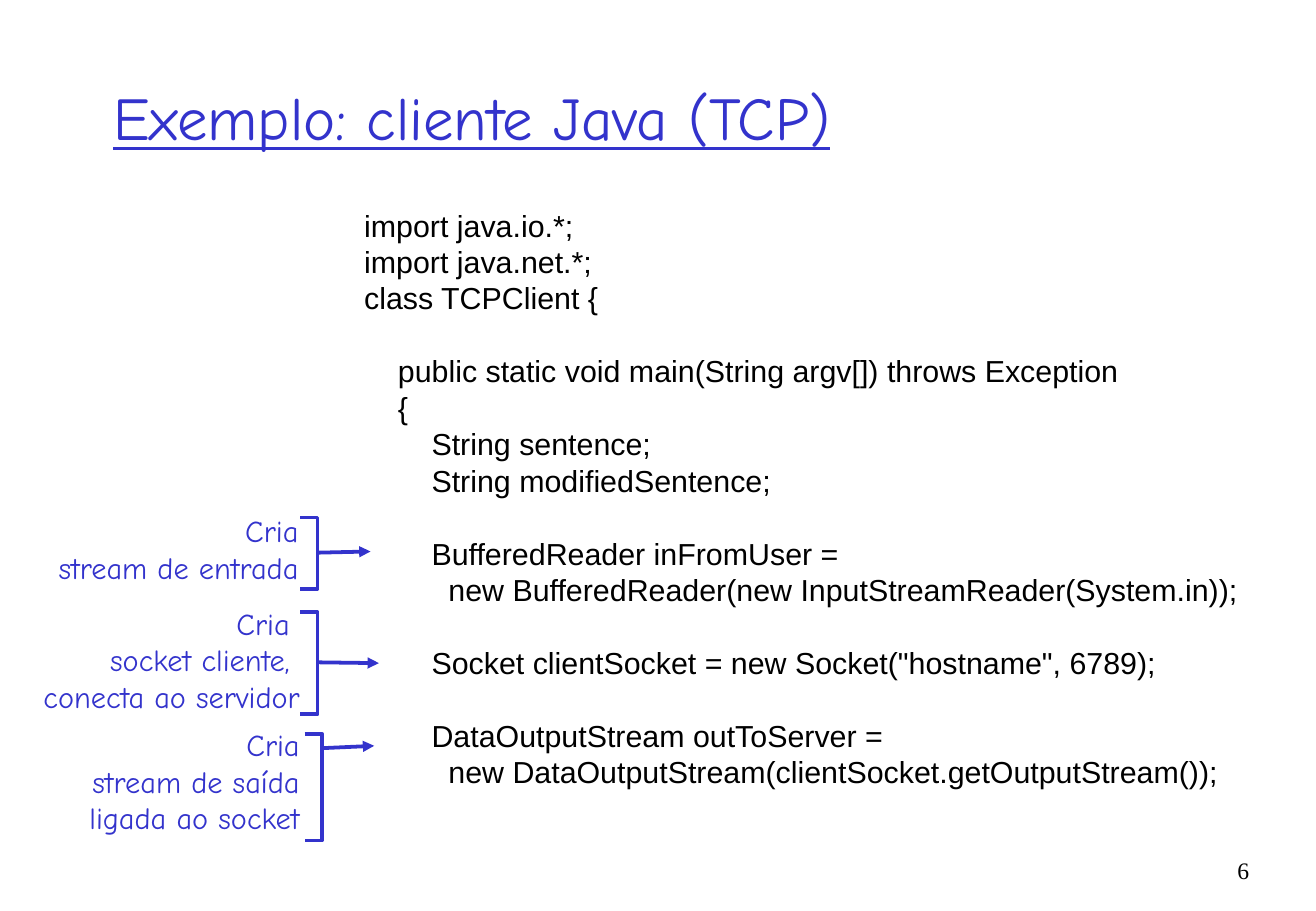
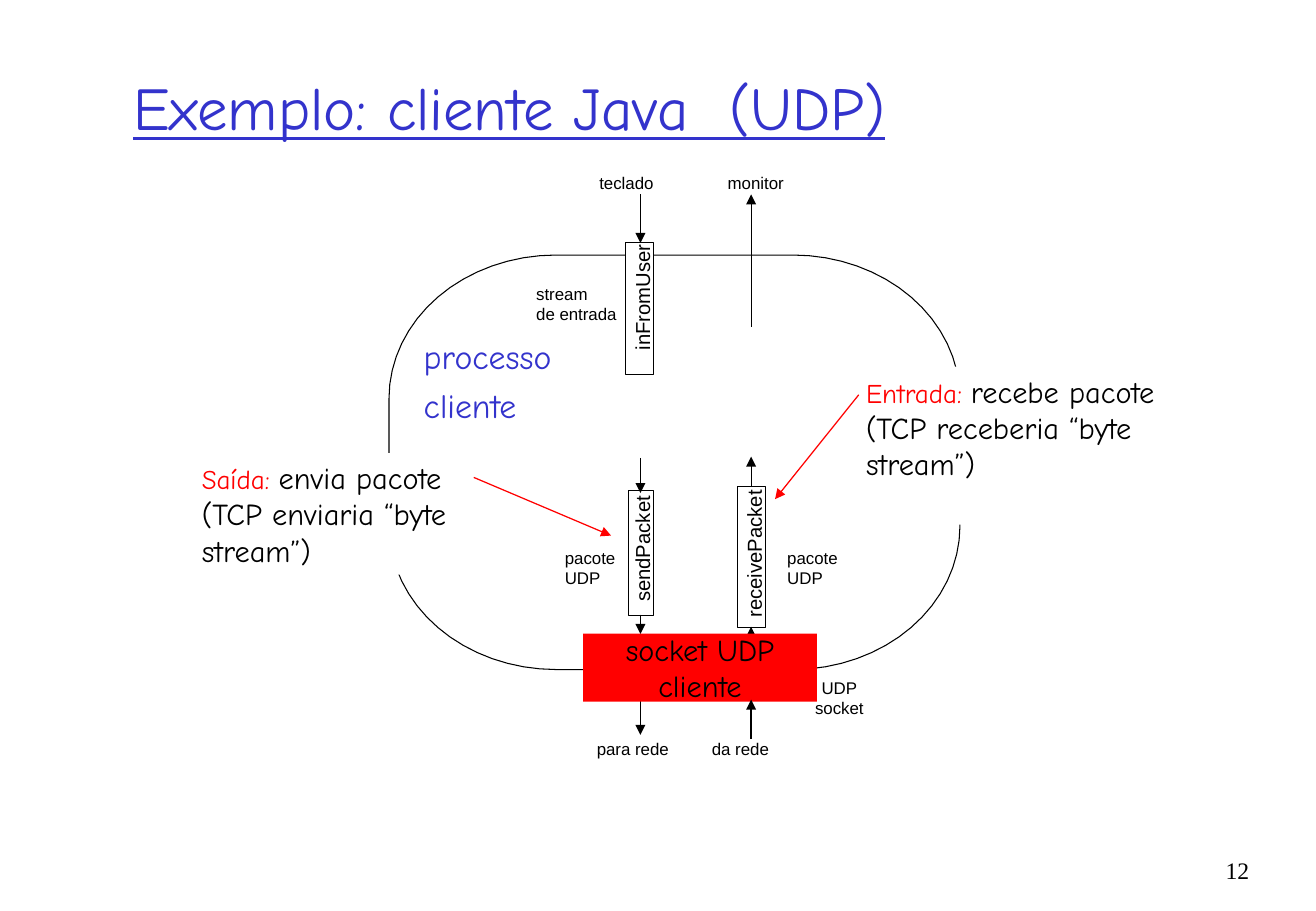
import math
from lxml import etree
from pptx import Presentation
from pptx import util as u
from pptx.dml.color import RGBColor
from pptx.enum import shapes, text
from pptx.oxml import ns

Pt = u.Pt
BLUE = RGBColor(0x33, 0x33, 0xCC)
RED = RGBColor(0xFF, 0, 0)
BLACK = RGBColor(0, 0, 0)
WHITE = RGBColor(0xFF, 0xFF, 0xFF)
LEFT, CENTER, RIGHT = text.PP_ALIGN.LEFT, text.PP_ALIGN.CENTER, text.PP_ALIGN.RIGHT
TOP, MIDDLE = text.MSO_ANCHOR.TOP, text.MSO_ANCHOR.MIDDLE

TITLE = ({"name": "Comic Neue", "size": Pt(36), "underline": True}, BLUE)
NOTE = ({"name": "Comic Neue", "size": Pt(18)}, BLUE)
PROCESS = ({"name": "Comic Neue", "size": Pt(20)}, BLUE)
BODY = ({"name": "Comic Neue", "size": Pt(18)}, BLACK)
LEAD = ({"name": "Comic Neue", "size": Pt(16)}, RED)
CODE = ({"name": "Arial", "size": Pt(18)}, BLACK)
PORT = ({"name": "Arial", "size": Pt(12)}, BLACK)
LABEL = ({"name": "Arial", "size": Pt(10)}, BLACK)
NUMBER = ({"name": "Times New Roman", "size": Pt(14)}, BLACK)


def add_text(slide, box, lines, style, align=LEFT, anchor=TOP, inset=(7.2, 3.6),
             fill=None, pitch=1.2):
    shape = slide.shapes.add_textbox(*[Pt(length) for length in box])
    if fill is not None:
        shape.fill.solid()
        shape.fill.fore_color.rgb = fill
    frame = shape.text_frame
    horizontal, vertical = [Pt(length) for length in inset]
    frame_format = {
        "word_wrap": True, "vertical_anchor": anchor,
        "margin_left": horizontal, "margin_right": horizontal,
        "margin_top": vertical, "margin_bottom": vertical,
    }
    for name, value in frame_format.items():
        setattr(frame, name, value)
    for index, line in enumerate(lines):
        paragraph = frame.add_paragraph() if index else frame.paragraphs[0]
        paragraph.alignment = align
        if pitch:
            paragraph.line_spacing = Pt(style[0]["size"].pt * pitch)
        runs = [(line, style)] if isinstance(line, str) else line
        for words, (font_format, color) in runs:
            run = paragraph.add_run()
            run.text = words
            for name, value in font_format.items():
                setattr(run.font, name, value)
            run.font.color.rgb = color
    return shape


def add_arrow(slide, ends, color, width):
    arrow = slide.shapes.add_connector(
        shapes.MSO_CONNECTOR.STRAIGHT, *[Pt(length) for length in ends])
    arrow.line.color.rgb = color
    arrow.line.width = Pt(width)
    etree.SubElement(arrow.line._get_or_add_ln(), ns.qn("a:tailEnd"), type="triangle")
    etree.SubElement(arrow._element.spPr, ns.qn("a:effectLst"))


presentation = Presentation()
presentation.slide_width = Pt(780)
presentation.slide_height = Pt(540)

slides = []
for title, left, top, number in [
    ("Exemplo: cliente Java (TCP)", 60, 24, "6"),
    ("Exemplo: cliente Java  (UDP)", 72, 18, "12"),
]:
    slide = presentation.slides.add_slide(presentation.slide_layouts[6])
    add_text(slide, (left, top, 611, 90), [title], TITLE, anchor=MIDDLE, pitch=None)
    add_text(slide, (708.5, 504, 39, 36), [number], NUMBER, align=RIGHT, pitch=None)
    slides.append(slide)
tcp_slide, udp_slide = slides

code_blocks = [
    ["import java.io.*;", "import java.net.*;", "class TCPClient {"],
    ["    public static void main(String argv[]) throws Exception",
     "    {",
     "        String sentence;",
     "        String modifiedSentence;"],
    ["        BufferedReader inFromUser =",
     "          new BufferedReader(new InputStreamReader(System.in));"],
    ['        Socket clientSocket = new Socket("hostname", 6789);'],
    ["        DataOutputStream outToServer =",
     "          new DataOutputStream(clientSocket.getOutputStream());"],
]
code = add_text(tcp_slide, (208.8, 119, 560, 394), sum(code_blocks, []), CODE)
block_start = 0
for block in code_blocks[:-1]:
    block_start += len(block)
    code.text_frame.paragraphs[block_start].space_before = Pt(21.6)

for lines, right, top, height, bracket, arrow in [
    (["Cria", "stream de entrada"], 184, 300.2, 50.4,
     (178, 188.2, 306.7, 349.2), (327.6, 219.6, 326.9)),
    (["Cria ", "socket cliente, ", "conecta ao servidor"], 184.8, 355, 72,
     (178, 188.2, 362.9, 423.4), (392.6, 224.6, 393.1)),
    (["Cria", "stream de saída", "ligada ao socket"], 184.7, 427, 72,
     (180.5, 190.8, 434.9, 498.2), (443.5, 221.8, 442.1)),
]:
    add_text(tcp_slide, (5, top, right - 5, height), lines, NOTE, align=RIGHT, anchor=MIDDLE)
    inner, outer, upper, lower = bracket
    builder = tcp_slide.shapes.build_freeform(Pt(inner), Pt(upper))
    builder.add_line_segments(
        [(Pt(x), Pt(y)) for x, y in [(outer, upper), (outer, lower), (inner, lower)]], close=False)
    shape = builder.convert_to_shape()
    shape.shadow.inherit = False
    shape.fill.background()
    shape.line.color.rgb = BLUE
    shape.line.width = Pt(2.25)
    start_y, end_x, end_y = arrow
    add_arrow(tcp_slide, (outer, start_y, end_x, end_y), BLUE, 2.25)

frame_left, frame_top, frame_right, frame_bottom = 230.6, 151.2, 569, 396.9
radius_x, radius_y = 99, 85
outline = []
for quarter, (center_x, center_y) in enumerate([
    (frame_right - radius_x, frame_bottom - radius_y),
    (frame_left + radius_x, frame_bottom - radius_y),
    (frame_left + radius_x, frame_top + radius_y),
    (frame_right - radius_x, frame_top + radius_y),
]):
    for step in range(17):
        angle = math.radians(90 * (quarter + step / 16))
        outline.append((Pt(center_x + radius_x * math.cos(angle)),
                        Pt(center_y + radius_y * math.sin(angle))))
builder = udp_slide.shapes.build_freeform(*outline[0])
builder.add_line_segments(outline[1:], close=True)
outlined = [builder.convert_to_shape()]
for box in [(372.4, 290.5, 15.2, 74.2), (437, 288.5, 16.6, 83.5), (371, 144, 16.6, 78.2)]:
    outlined.append(udp_slide.shapes.add_shape(
        shapes.MSO_SHAPE.RECTANGLE, *[Pt(length) for length in box]))
for shape in outlined:
    shape.shadow.inherit = False
    shape.fill.solid()
    shape.fill.fore_color.rgb = WHITE
    shape.line.color.rgb = BLACK
    shape.line.width = Pt(0.62)

port_width, port_height = 100, 14.4
for name, center_x, center_y in [
    ("sendPacket", 380.6, 325.4),
    ("receivePacket", 446.8, 328.3),
    ("inFromUser", 380.6, 176.4),
]:
    port = add_text(
        udp_slide,
        (center_x - port_width / 2, center_y - port_height / 2, port_width, port_height),
        [name], PORT, align=CENTER, inset=(0, 0))
    port.rotation = 270

keyboard_x, monitor_x = 379.6, 445.2
for x, start, end in [
    (keyboard_x, 115.2, 144), (keyboard_x, 271.4, 292.3),
    (keyboard_x, 364.3, 375.8), (keyboard_x, 412, 435.6),
    (monitor_x, 193.7, 115.2), (monitor_x, 288.7, 270.7), (monitor_x, 378.7, 371.5),
]:
    add_arrow(udp_slide, (x, start, x, end), BLACK, 0.62)

for lines, left, top, align in [
    (["teclado"], 355.2, 102.6, LEFT),
    (["monitor"], 431.3, 102.6, LEFT),
    (["stream", "de entrada"], 317.8, 168, LEFT),
    (["pacote", "UDP"], 334.8, 324.7, LEFT),
    (["pacote", "UDP"], 466.6, 324.7, LEFT),
    (["UDP", "socket"], 467.5, 401.8, CENTER),
    (["para rede"], 353.7, 437.8, LEFT),
    (["da rede"], 421.9, 437.8, LEFT),
]:
    add_text(udp_slide, (left, top, 60, 12 * len(lines)), lines, LABEL,
             align=align, inset=(0, 0))

for lead, words, box in [
    ("Saída: ", "envia pacote (TCP enviaria “byte stream”)", (112.5, 268.6, 186.5, 72)),
    ("Entrada: ", "recebe pacote (TCP receberia “byte stream”)", (506.2, 217.4, 186.5, 93.6)),
]:
    add_text(udp_slide, box, [[(lead, LEAD), (words, BODY)]], BODY, fill=WHITE)

process = add_text(udp_slide, (244.1, 195.8, 103, 60.5), ["processo", "cliente"], PROCESS, fill=WHITE)
process.text_frame.paragraphs[1].space_before = Pt(5)

add_text(udp_slide, (345.6, 375.6, 138.6, 40.3), ["socket UDP cliente"], BODY,
         align=CENTER, anchor=MIDDLE, inset=(7.2, 0), fill=RED)

for ends, color in [
    ((280.8, 283, 362.2, 317.5), RED),
    ((509, 234, 459.4, 295.9), RED),
    ((monitor_x, 437.8, monitor_x, 414.7), BLACK),
]:
    add_arrow(udp_slide, ends, color, 0.75)

presentation.save("out.pptx")
